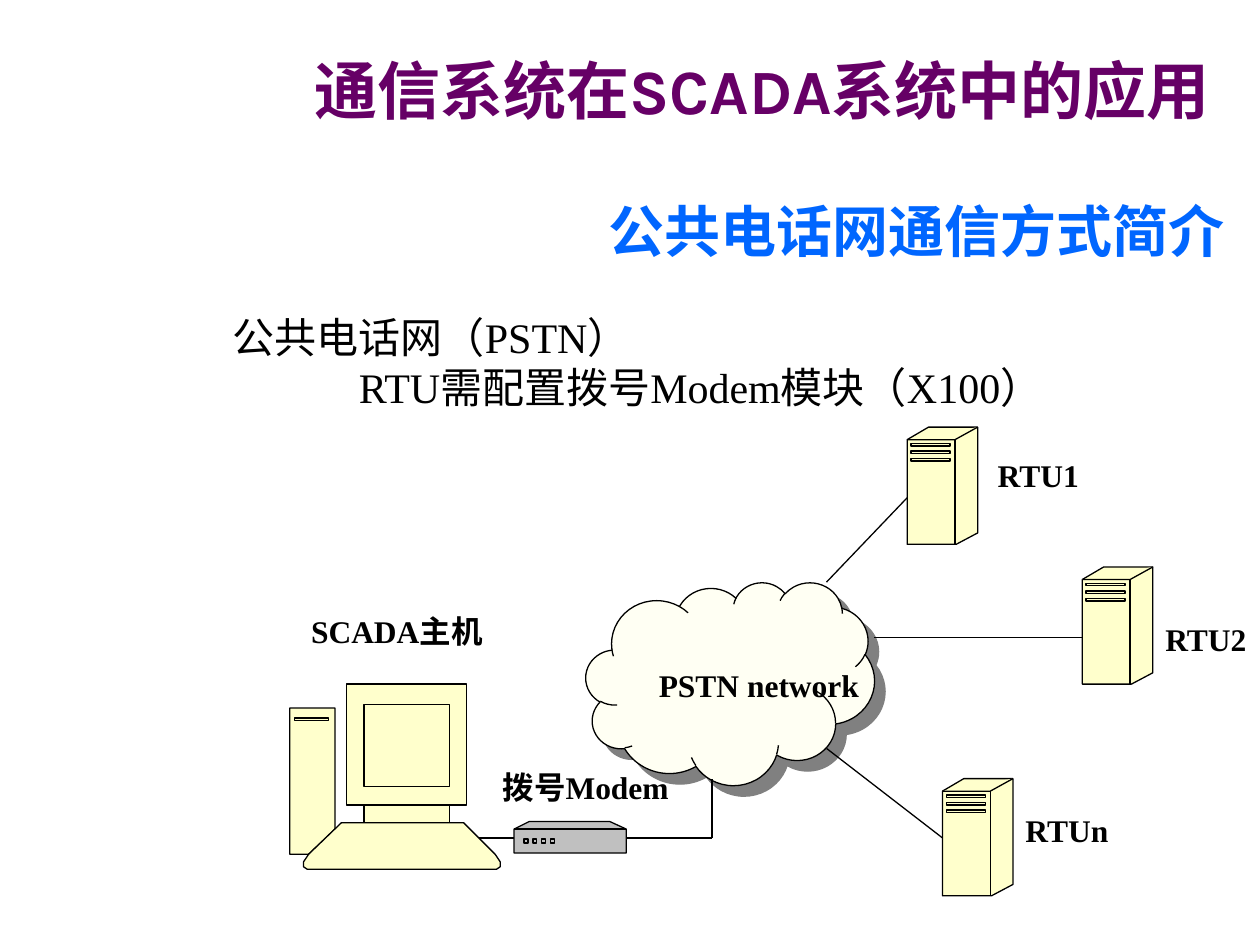
from lxml import etree
from pptx import Presentation
from pptx.dml.color import RGBColor
from pptx.enum.shapes import MSO_CONNECTOR, MSO_SHAPE
from pptx.enum.text import MSO_ANCHOR, MSO_AUTO_SIZE, PP_ALIGN
from pptx.oxml.ns import qn
from pptx.util import Inches, Pt

CLOUD = MSO_SHAPE.CLOUD
LINE = MSO_CONNECTOR.STRAIGHT
TOP, BOTTOM = MSO_ANCHOR.TOP, MSO_ANCHOR.BOTTOM
LEFT, RIGHT = PP_ALIGN.LEFT, PP_ALIGN.RIGHT
FIT, FIXED = MSO_AUTO_SIZE.SHAPE_TO_FIT_TEXT, MSO_AUTO_SIZE.NONE
SERIF, SANS, HEAD = "Times New Roman", "Noto Sans CJK SC", "Karla"
BLACK, CREAM, GREY = "000000", "FFFFCC", "C0C0C0"


def color(code):
    """Turn a hex string into a colour."""
    return RGBColor.from_string(code)


def write(slide, box, lines, size, font=SERIF, ink=BLACK, bold=False,
          align=LEFT, anchor=TOP, wrap=True, fit=FIXED):
    """Place a text box with one paragraph per line."""
    frame = slide.shapes.add_textbox(*map(Inches, box)).text_frame
    frame.word_wrap, frame.auto_size = wrap, fit
    frame.vertical_anchor = anchor
    for i, line in enumerate(lines):
        para = frame.add_paragraph() if i else frame.paragraphs[0]
        para.alignment = align
        tabs = etree.SubElement(para._p.get_or_add_pPr(), qn("a:tabLst"))
        etree.SubElement(tabs, qn("a:tab"), pos=str(Inches(1)), algn="l")
        run = para.add_run()
        run.text = line
        run.font.name, run.font.size, run.font.bold = font, Pt(size), bold
        run.font.color.rgb = color(ink)
        asian = etree.SubElement(run.font._element, qn("a:ea"))
        asian.set("typeface", SANS)


def label(slide, x, y, width, text):
    """Name a device with a bold one-line label."""
    write(slide, (x, y, width, 0.4), [text], 18, bold=True, wrap=False, fit=FIT)


def paint(shape, fill):
    """Give a shape its fill and a thin black outline."""
    shape.shadow.inherit = False
    shape.fill.solid()
    shape.fill.fore_color.rgb = color(fill)
    shape.line.color.rgb = color(BLACK)
    shape.line.width = Pt(0.75)


def rect(x, y, width, height):
    """Return the closed outline of a rectangle."""
    right, low = x + width, y + height
    return [(x, y), (right, y), (right, low), (x, low), (x, y)]


def draw(slide, x, y, parts, fill):
    """Build one freeform whose parts are filled separately."""
    pen = None
    for part in parts:
        first, *rest = [(Inches(a), Inches(b)) for a, b in part]
        if pen:
            pen.move_to(*first)
        else:
            pen = slide.shapes.build_freeform(*first, scale=1.0)
        pen.add_line_segments(rest, close=part[0] == part[-1])
    shape = pen.convert_to_shape(Inches(x), Inches(y))
    base = shape._element.xpath(".//a:path")[0]
    group = base.getparent()
    for node in list(base):
        if node.tag == qn("a:moveTo"):
            piece = etree.SubElement(group, qn("a:path"), dict(base.attrib))
        piece.append(node)
    group.remove(base)
    paint(shape, fill)


def titles(slide, x, y):
    """Write the title, the subtitle and the introduction."""
    write(slide, (x + 0.65, y, 7.6, 0.66), ["通信系统在SCADA系统中的应用"], 36,
          HEAD, "660066", True)
    write(slide, (x + 2.52, y + 0.97, 5.55, 0.81), ["公共电话网通信方式简介"], 32,
          SANS, "0066FF", True, RIGHT, BOTTOM)
    write(slide, (x, y + 2.06, 8.07, 0.9),
          ["公共电话网（PSTN）", "\tRTU需配置拨号Modem模块（X100）"], 24, fit=FIT)


def cloud(slide, x, y):
    """Draw the network cloud with a hard shadow."""
    shape = slide.shapes.add_shape(CLOUD, *map(Inches, (x, y, 2.29, 1.61)))
    paint(shape, "FFFFF3")
    effect = shape._element.spPr.find(qn("a:effectLst"))
    shade = etree.SubElement(effect, qn("a:outerShdw"), blurRad="0",
                             dist=str(Pt(8.5)), dir="2700000",
                             algn="ctr", rotWithShape="0")
    etree.SubElement(shade, qn("a:srgbClr"), val="808080")


def tower(slide, x, y, name, dx, dy):
    """Draw an RTU tower and its label."""
    body = [(0, 0.1), (0.17, 0), (0.56, 0), (0.56, 0.84), (0.39, 0.93),
            (0, 0.93), (0, 0.1)]
    edges = [[(0, 0.1), (0.38, 0.1), (0.56, 0)], [(0.38, 0.1), (0.38, 0.93)]]
    slots = [rect(0.03, 0.13 + 0.06 * i, 0.31, 0.02) for i in range(3)]
    draw(slide, x, y, [body, *edges, *slots], CREAM)
    label(slide, x + dx, y + dy, 0.88, name)


def modem(slide, x, y):
    """Draw the dial-up modem and its label."""
    body = [(0, 0.06), (0.12, 0), (0.76, 0), (0.89, 0.06), (0.89, 0.25),
            (0, 0.25), (0, 0.06)]
    lights = [rect(0.08 + 0.07 * i, 0.14, 0.03, 0.03) for i in range(4)]
    draw(slide, x, y, [body, [(0, 0.06), (0.89, 0.06)], *lights], GREY)
    label(slide, x - 0.19, y - 0.47, 1.58, "拨号Modem")


def host(slide, x, y):
    """Draw the SCADA host computer and its label."""
    case = [(0, 0.19), (0.36, 0.19), (0.36, 1.15), (0.15, 1.35), (0, 1.35),
            (0, 0.19)]
    keys = [(0.41, 1.1), (1.38, 1.1), (1.63, 1.35), (1.67, 1.41), (1.67, 1.45),
            (1.64, 1.47), (0.14, 1.47), (0.11, 1.45), (0.11, 1.41),
            (0.15, 1.35), (0.41, 1.1)]
    parts = [case, rect(0.04, 0.27, 0.27, 0.02), rect(0.45, 0, 0.95, 0.96),
             rect(0.59, 0.16, 0.68, 0.65), rect(0.59, 0.96, 0.68, 0.14), keys]
    draw(slide, x, y, parts, CREAM)
    label(slide, x + 0.07, y - 0.62, 1.62, "SCADA主机")


def links(slide, x, y):
    """Join the cloud at x, y to the devices around it."""
    ends = [(-0.57, 2.03, -0.85, 2.03), (0.32, 2.03, 1, 2.03),
            (1, 2.03, 1, 1.56), (1.91, 1.32, 2.83, 2.03),
            (2.29, 0.44, 3.94, 0.44), (1.91, 0, 2.55, -0.67)]
    for a, b, c, d in ends:
        spots = map(Inches, (x + a, y + b, x + c, y + d))
        wire = slide.shapes.add_connector(LINE, *spots)
        wire.line.color.rgb = color(BLACK)
        wire.line.width = Pt(0.75)
        etree.SubElement(wire._element.spPr, qn("a:effectLst"))


def main():
    """Build and save the slide."""
    deck = Presentation()
    deck.slide_width, deck.slide_height = Inches(10), Inches(7.5)
    slide = deck.slides.add_slide(deck.slide_layouts[6])
    titles(slide, 1.75, 0.36)
    cloud(slide, 4.65, 4.62)
    tower(slide, 7.48, 6.18, "RTUn", 0.56, 0.21)
    modem(slide, 4.08, 6.52)
    host(slide, 2.3, 5.43)
    tower(slide, 8.59, 4.5, "RTU2", 0.56, 0.37)
    tower(slide, 7.2, 3.39, "RTU1", 0.62, 0.18)
    links(slide, 4.65, 4.62)
    label(slide, 5.13, 5.24, 1.79, "PSTN network")
    deck.save("out.pptx")


if __name__ == "__main__":
    main()
